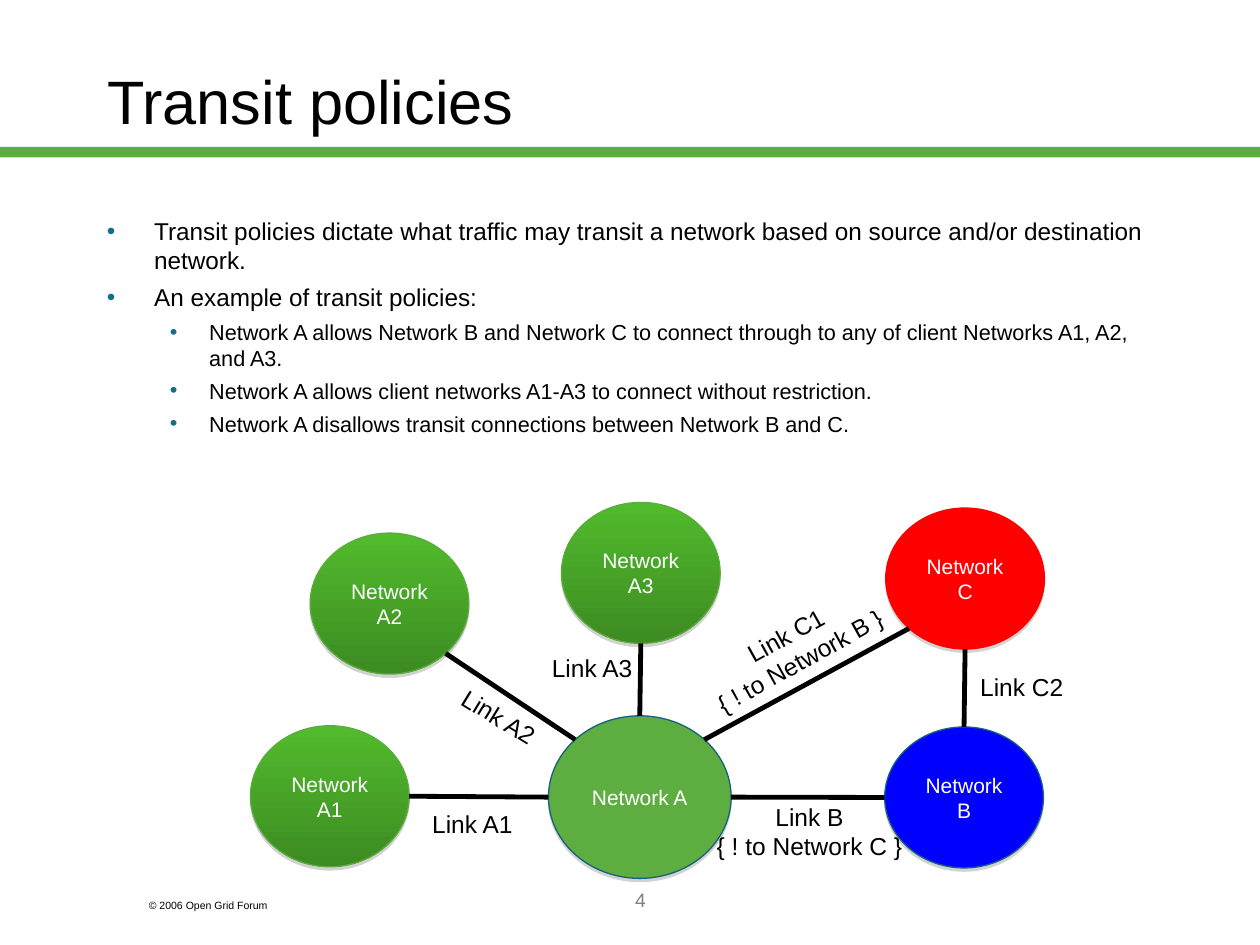
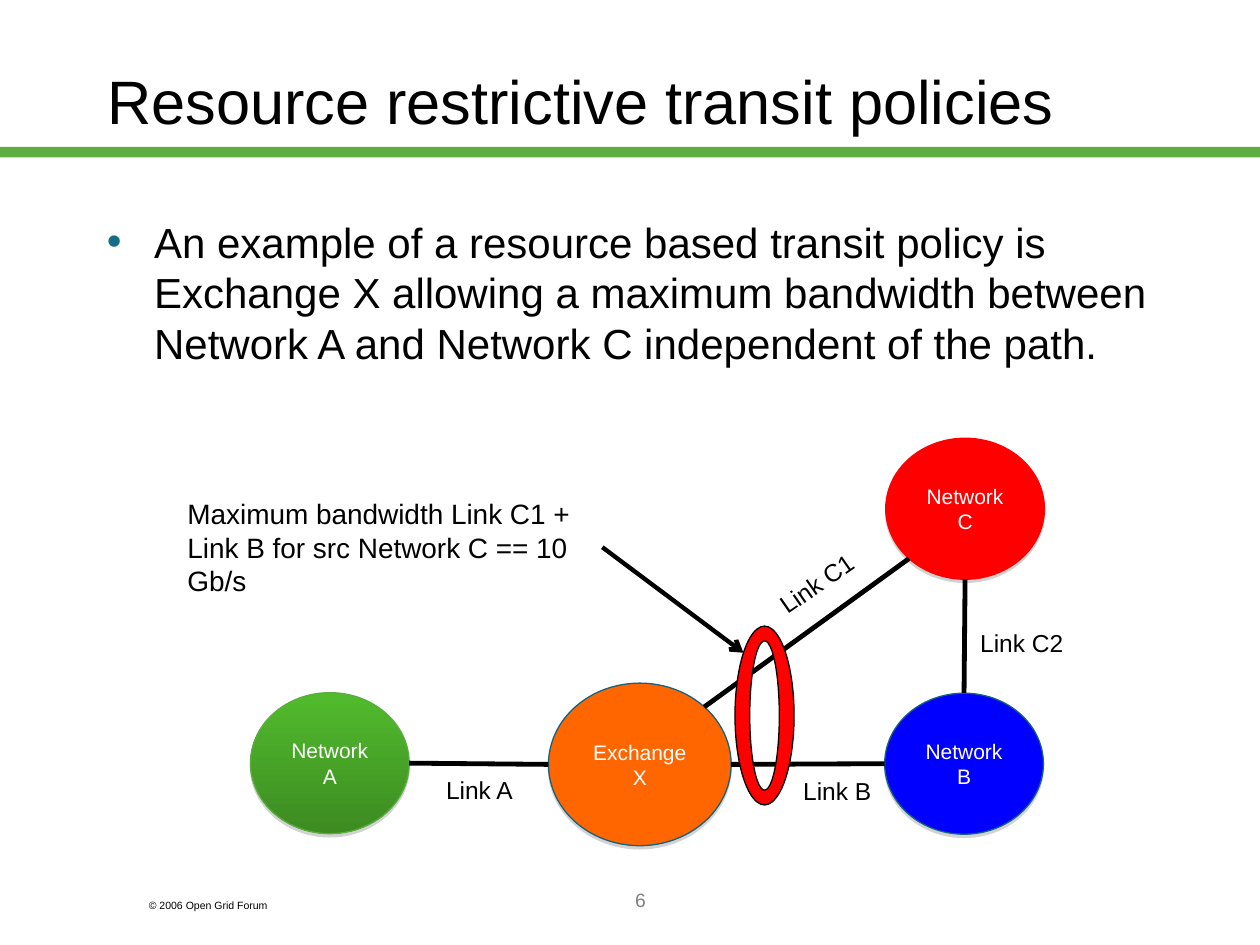
from math import sqrt
from lxml.etree import SubElement
from pptx import Presentation
from pptx.dml.color import RGBColor
from pptx.enum.shapes import MSO_CONNECTOR, MSO_SHAPE
from pptx.enum.text import MSO_ANCHOR, PP_ALIGN
from pptx.oxml.ns import qn
from pptx.util import Pt

COLORS = {
    "black": "000000", "white": "FFFFFF", "gray": "808080", "band": "5DAD41",
    "bullet": "176D89", "leaf_top": "51BB2D", "leaf_bottom": "3D8B21",
    "leaf_edge": "59AC3D", "teal_edge": "14627C", "blue": "0000FF",
    "red": "FF0000", "orange": "FF6600",
}
FONT = "Arial"
COPYRIGHT = "© 2006 Open Grid Forum"

NODE, HUB = (90.7, 80.6), (104.4, 92.9)
SHORT_LABEL, LONG_LABEL = (66, 24.3), (126, 41)
LEAF = (("leaf_top", "leaf_bottom"), "leaf_edge")
BLUE = (("blue",), "teal_edge")
RED = (("red",), "red")
GREEN_HUB = (("band",), "teal_edge")
ORANGE_HUB = (("orange",), "teal_edge")

COMPASS = {
    "n": (0, -1), "s": (0, 1), "w": (-1, 0), "e": (1, 0),
    "nw": (-1, -1), "ne": (1, -1), "sw": (-1, 1), "se": (1, 1),
}

SLIDES = [
    {
        "title": "Transit policies",
        "number": "4",
        "bullets": [
            (0, 13.9, 4.5, "Transit policies dictate what traffic may transit a network "
                           "based on source and/or destination network."),
            (0, 13.9, 4.5, "An example of transit policies:"),
            (1, 12.4, 4, "Network A allows Network B and Network C to connect through "
                         "to any of client Networks A1, A2, and A3."),
            (1, 12.4, 4, "Network A allows client networks A1-A3 to connect without restriction."),
            (1, 12.4, 4, "Network A disallows transit connections between Network B and C."),
        ],
        "nodes": {
            "A1": (["Network A1"], (188.5, 455), NODE, LEAF),
            "B": (["Network B"], (550.9, 455.7), NODE, BLUE),
            "A": (["Network A"], (365.6, 455.5), HUB, GREEN_HUB),
            "C": (["Network C"], (551.5, 330.6), NODE, RED),
            "A2": (["Network A2"], (222.6, 344.9), NODE, LEAF),
            "A3": (["Network A3"], (366.2, 327.4), NODE, LEAF),
        },
        "links": [
            ("A1", "e", "A", "w"), ("B", "w", "A", "e"), ("C", "s", "B", "n"),
            ("C", "sw", "A", "ne"), ("A2", "se", "A", "nw"), ("A3", "s", "A", "n"),
        ],
        "labels": [
            (["Link A1"], (270, 470.9), 0),
            (["Link B", "{ ! to Network C }"], (462.6, 475), 0),
            (["Link C1", "{ ! to Network B }"], (453, 370.4), 331),
            (["Link C2"], (583.9, 392.4), 0),
            (["Link A2"], (285, 409.7), 31.4),
            (["Link A3"], (338.4, 381.6), 0),
        ],
    },
    {
        "title": "Resource restrictive transit policies",
        "number": "6",
        "bullets": [
            (0, 24, 6, "An example of a resource based transit policy is Exchange X allowing "
                       "a maximum bandwidth between Network A and Network C independent of the path."),
        ],
        "nodes": {
            "A": (["Network A"], (188.5, 436.1), NODE, LEAF),
            "B": (["Network B"], (550.9, 436.4), NODE, BLUE),
            "X": (["Exchange", "X"], (365.6, 436.8), HUB, ORANGE_HUB),
            "C": (["Network C"], (551.5, 290.7), NODE, RED),
        },
        "links": [
            ("A", "e", "X", "w"), ("B", "w", "X", "e"),
            ("C", "s", "B", "n"), ("C", "sw", "X", "ne"),
        ],
        "labels": [
            (["Link A"], (274, 451.4), 0),
            (["Link B"], (478.5, 452.2), 0),
            (["Link C1"], (466.6, 333.4), 325.2),
            (["Link C2"], (583.9, 367.2), 0),
        ],
        "limit": {
            "text": "Maximum bandwidth Link C1 + Link B for src Network C == 10 Gb/s",
            "box": (100, 280.2, 244, 65),
            "arrow": ((344.2, 312.7), (424.8, 373)),
            "ring": (420, 357.8, 33.8, 102.2),
        },
    },
]


def rgb(name):
    return RGBColor.from_string(COLORS[name])


def points(values):
    return [Pt(value) for value in values]


def centered(center, size):
    return (center[0] - size[0] / 2, center[1] - size[1] / 2, *size)


def style_paragraph(paragraph, size, color="black", **formats):
    for name, value in formats.items():
        setattr(paragraph, name, value)
    for name, value in {"name": FONT, "size": Pt(size)}.items():
        setattr(paragraph.font, name, value)
    paragraph.font.color.rgb = rgb(color)


def write_lines(frame, lines, size, color="black", alignment=PP_ALIGN.LEFT,
                anchor=MSO_ANCHOR.TOP, wrap=True):
    for name, value in {"word_wrap": wrap, "vertical_anchor": anchor}.items():
        setattr(frame, name, value)
    for index, line in enumerate(lines):
        paragraph = frame.add_paragraph() if index else frame.paragraphs[0]
        paragraph.text = line
        style_paragraph(paragraph, size, color, alignment=alignment)


def add_text(slide, box, lines, size, **formats):
    shape = slide.shapes.add_textbox(*points(box))
    write_lines(shape.text_frame, lines, size, **formats)
    return shape


def add_filled(slide, kind, box, fill, edge=None):
    shape = slide.shapes.add_shape(kind, *points(box))
    shape.shadow.inherit = False
    if len(fill) == 1:
        shape.fill.solid()
        shape.fill.fore_color.rgb = rgb(fill[0])
    else:
        shape.fill.gradient()
        shape.fill.gradient_angle = 270
        for stop, color in zip(shape.fill.gradient_stops, fill):
            stop.color.rgb = rgb(color)
    if edge:
        shape.line.color.rgb = rgb(edge)
        shape.line.width = Pt(0.75)
    else:
        shape.line.fill.background()
    return shape


def add_line(slide, start, end, width):
    connector = slide.shapes.add_connector(MSO_CONNECTOR.STRAIGHT, *points(start + end))
    connector.line.color.rgb = rgb("black")
    connector.line.width = Pt(width)
    SubElement(connector._element.spPr, qn("a:effectLst"))
    return connector


def add_bullets(slide, bullets):
    frame = slide.shapes.add_textbox(*points((54, 120, 612, 137))).text_frame
    frame.word_wrap = True
    for index, (level, size, space, text) in enumerate(bullets):
        paragraph = frame.add_paragraph() if index else frame.paragraphs[0]
        paragraph.text = text
        properties = paragraph._p.get_or_add_pPr()
        margin, hanging = ((27, 27), (58.5, 22.5))[level]
        properties.set("marL", str(Pt(margin)))
        properties.set("indent", str(-Pt(hanging)))
        color = SubElement(properties, qn("a:buClr"))
        SubElement(color, qn("a:srgbClr"), val=COLORS["bullet"])
        SubElement(properties, qn("a:buFont"), typeface=FONT)
        SubElement(properties, qn("a:buChar"), char="•")
        style_paragraph(paragraph, size, level=level, space_before=Pt(space if index else 0))


def add_node(slide, lines, center, size, look):
    shape = add_filled(slide, MSO_SHAPE.OVAL, centered(center, size), *look)
    effects = shape._element.spPr.find(qn("a:effectLst"))
    shadow = SubElement(effects, qn("a:outerShdw"), blurRad="0", dist=str(Pt(1.8)),
                        dir="5400000", rotWithShape="0")
    color = SubElement(shadow, qn("a:srgbClr"), val=COLORS["gray"])
    SubElement(color, qn("a:alpha"), val="35000")
    write_lines(shape.text_frame, lines, 12, "white", PP_ALIGN.CENTER, MSO_ANCHOR.MIDDLE)


def rim_point(node, side):
    _, center, size, _ = node
    direction = COMPASS[side]
    reach = sqrt(direction[0] ** 2 + direction[1] ** 2)
    return tuple(middle + step / reach * length / 2
                 for middle, step, length in zip(center, direction, size))


def add_network(slide, nodes, links, labels):
    for node in nodes.values():
        add_node(slide, *node)
    for first, first_side, second, second_side in links:
        add_line(slide, rim_point(nodes[first], first_side),
                 rim_point(nodes[second], second_side), 2.75)
    for lines, center, angle in labels:
        size = LONG_LABEL if len(lines) > 1 else SHORT_LABEL
        label = add_text(slide, centered(center, size), lines, 14,
                         alignment=PP_ALIGN.CENTER, wrap=False)
        label.rotation = angle


def add_limit(slide, limit):
    ring = add_filled(slide, MSO_SHAPE.DONUT, limit["ring"], ("red",), "black")
    ring.adjustments[0] = 0.25
    add_text(slide, limit["box"], [limit["text"]], 16)
    arrow = add_line(slide, *limit["arrow"], 2.5)
    SubElement(arrow.line._get_or_add_ln(), qn("a:tailEnd"), type="arrow")


def add_frame(slide, title, number):
    add_filled(slide, MSO_SHAPE.RECTANGLE, (0, 84, 720, 6), ("band",))
    add_text(slide, (78, 510, 108, 14.4), [COPYRIGHT], 6)
    add_text(slide, (54.2, 12, 612, 90), [title], 35, anchor=MSO_ANCHOR.MIDDLE)
    add_text(slide, (156, 504, 420, 36), [number], 11, color="gray",
             alignment=PP_ALIGN.CENTER)


def main():
    presentation = Presentation()
    presentation.slide_width, presentation.slide_height = Pt(720), Pt(540)
    for content in SLIDES:
        slide = presentation.slides.add_slide(presentation.slide_layouts[6])
        add_frame(slide, content["title"], content["number"])
        add_bullets(slide, content["bullets"])
        add_network(slide, content["nodes"], content["links"], content["labels"])
        if "limit" in content:
            add_limit(slide, content["limit"])
    presentation.save("out.pptx")


if __name__ == "__main__":
    main()
